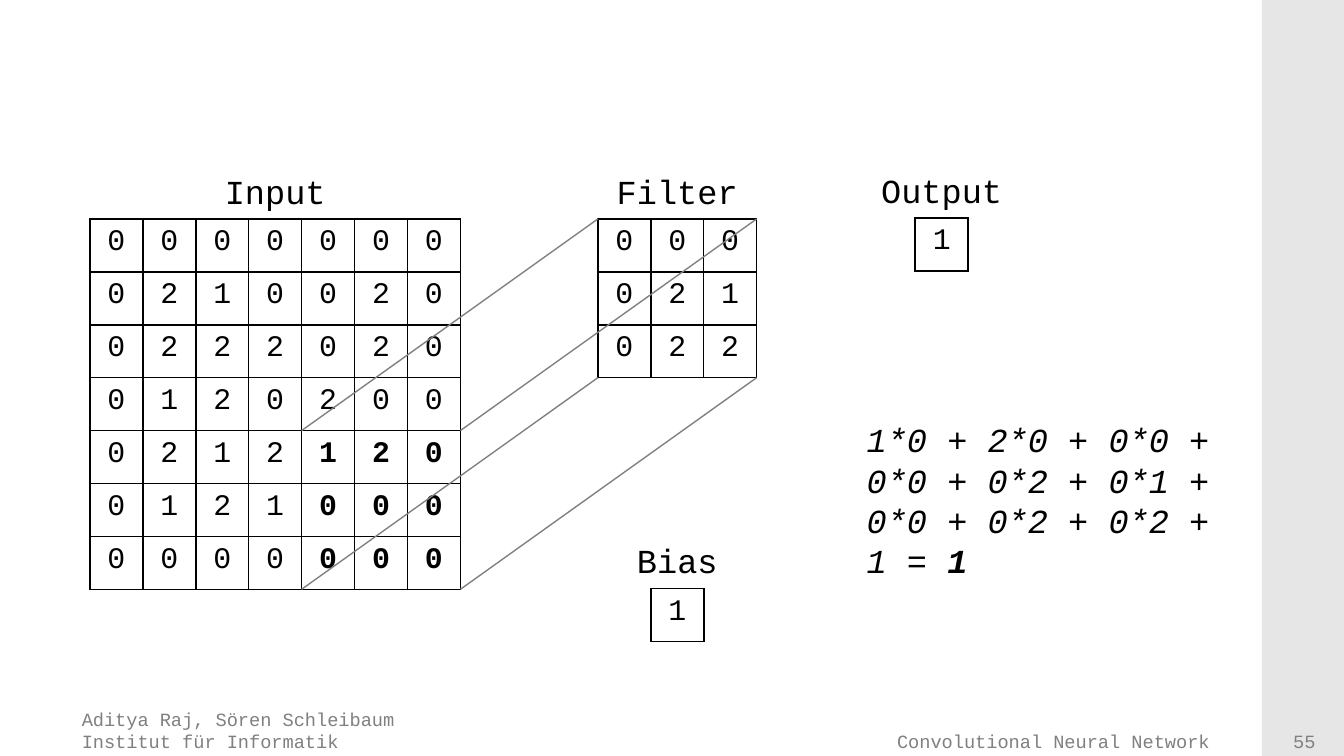
import dataclasses

import lxml.etree
import pptx
import pptx.dml.color
import pptx.enum.shapes
import pptx.enum.text
import pptx.oxml
import pptx.oxml.ns
import pptx.util

Pt = pptx.util.Pt
ALIGN = pptx.enum.text.PP_ALIGN
ANCHOR = pptx.enum.text.MSO_ANCHOR
qn = pptx.oxml.ns.qn


@dataclasses.dataclass(frozen=True)
class Theme:
    font: str = "Courier New"
    ink: str = "000000"
    muted: str = "808080"
    band: str = "E6E6E6"
    label_size: int = 18
    cell_size: int = 16
    footer_size: int = 10


THEME = Theme()
CELL = 28.35
LABEL_HEIGHT = 29


def rgb(code):
    return pptx.dml.color.RGBColor.from_string(code)


def style(para, size, color, align=ALIGN.LEFT):
    para.alignment = align
    para.font.name = THEME.font
    para.font.size = Pt(size)
    para.font.color.rgb = rgb(color)


def add_text(page, box, lines, size=THEME.label_size, color=THEME.ink,
             align=ALIGN.CENTER, anchor=ANCHOR.TOP):
    frame = page.shapes.add_textbox(*map(Pt, box)).text_frame
    frame.word_wrap = True
    frame.vertical_anchor = anchor
    frame.text = "\n".join(lines)
    for para in frame.paragraphs:
        style(para, size, color, align)
    return frame


def add_borders(cell):
    properties = cell._tc.get_or_add_tcPr()
    for side in ("lnL", "lnR", "lnT", "lnB"):
        line = lxml.etree.SubElement(properties, qn(f"a:{side}"), w=str(Pt(1)))
        fill = lxml.etree.SubElement(line, qn("a:solidFill"))
        lxml.etree.SubElement(fill, qn("a:srgbClr"), val=THEME.ink)


# Matrix: each string is one row of digits
def add_matrix(page, left, top, rows, bold_from=None):
    count = len(rows)
    box = (left, top, count * CELL, count * CELL)
    table = page.shapes.add_table(count, count, *map(Pt, box)).table
    table.first_row = table.horz_banding = False
    for line in (*table.rows, *table.columns):
        if line in table.rows:
            line.height = Pt(CELL)
        else:
            line.width = Pt(CELL)
    for y, digits in enumerate(rows):
        for x, digit in enumerate(digits):
            cell = table.cell(y, x)
            cell.text = digit
            para = cell.text_frame.paragraphs[0]
            style(para, THEME.cell_size, THEME.ink, ALIGN.CENTER)
            para.font.bold = bold_from is not None and min(x, y) >= bold_from
            add_borders(cell)
            cell.fill.background()


# Matrix with its name centred above
def add_named_matrix(page, name, left, top, rows, bold_from=None, label_width=None):
    add_matrix(page, left, top, rows, bold_from)
    width = len(rows) * CELL
    label_width = label_width or width
    label_left = left + (width - label_width) / 2
    add_text(page, (label_left, top - LABEL_HEIGHT - 0.5, label_width, LABEL_HEIGHT), [name])


# Lines joining the corners of the input patch to those of the filter
def add_projection(page, patch, kernel, side):
    for dy in (0, side):
        for dx in (0, side):
            ends = [patch[0] + dx, patch[1] + dy, kernel[0] + dx, kernel[1] + dy]
            line = page.shapes.add_connector(
                pptx.enum.shapes.MSO_CONNECTOR.STRAIGHT, *map(Pt, ends))
            line.line.color.rgb = rgb(THEME.muted)
            line.line.width = Pt(0.75)
            lxml.etree.SubElement(line._element.spPr, qn("a:effectLst"))


# Calculation of one output value
def add_formula(page, box):
    frame = add_text(page, box, ["1*0 + 2*0 + 0*0 +", "0*0 + 0*2 + 0*1 +",
                                 "0*0 + 0*2 + 0*2 +", "1 = "], align=ALIGN.LEFT)
    for para in frame.paragraphs:
        para.font.italic = True
    result = frame.paragraphs[-1].add_run()
    result.text = "1"
    result.font.bold = True


# Side band and footer
def add_frame(page, box):
    left, top, width, height = box
    band_left = left + width - 44
    band = page.shapes.add_shape(pptx.enum.shapes.MSO_SHAPE.RECTANGLE,
                                 *map(Pt, (band_left, top, 44, height)))
    band.shadow.inherit = False
    band.fill.solid()
    band.fill.fore_color.rgb = rgb(THEME.band)
    band.line.fill.background()
    bottom = top + height + 1.8
    footers = [
        (left + 36.7, 306, 31.7, ALIGN.LEFT,
         ["Aditya Raj, Sören Schleibaum", "Institut für Informatik"]),
        (left + 349.2, 311.8, 28.8, ALIGN.RIGHT, ["Convolutional Neural Network "]),
        (band_left + 4.4, 36.7, 19.4, ALIGN.CENTER, ["55"]),
    ]
    for x, breadth, tall, align, lines in footers:
        add_text(page, (x, bottom - tall, breadth, tall), lines, THEME.footer_size,
                 THEME.muted, align, ANCHOR.BOTTOM)


# Convolution diagram
def add_convolution(page, box):
    left, top = box[:2]
    kernel = (left + 272.1, top)
    offset = 4 * CELL
    add_named_matrix(page, "Input", left, top,
                     ["0000000", "0210020", "0222020", "0120200",
                      "0212120", "0121000", "0000000"], bold_from=4)
    add_named_matrix(page, "Filter", *kernel, ["000", "021", "022"])
    add_named_matrix(page, "Output", left + 442.1, top - 0.4, ["1"], label_width=90.7)
    add_named_matrix(page, "Bias", kernel[0] + CELL, top + 7 * CELL - 0.4, ["1"],
                     label_width=85)
    add_projection(page, (left + offset, top + offset), kernel, 3 * CELL)
    add_formula(page, (left + 409, top + 103.7, 199, 94.3))


deck = pptx.Presentation()
deck.slide_width, deck.slide_height = Pt(720), Pt(405)
page = deck.slides.add_slide(deck.slide_layouts.get_by_name("Blank"))
add_frame(page, (0, 0, 720, 405))
add_convolution(page, (48.2, 117.3, 608, 227))
deck.save("out.pptx")
